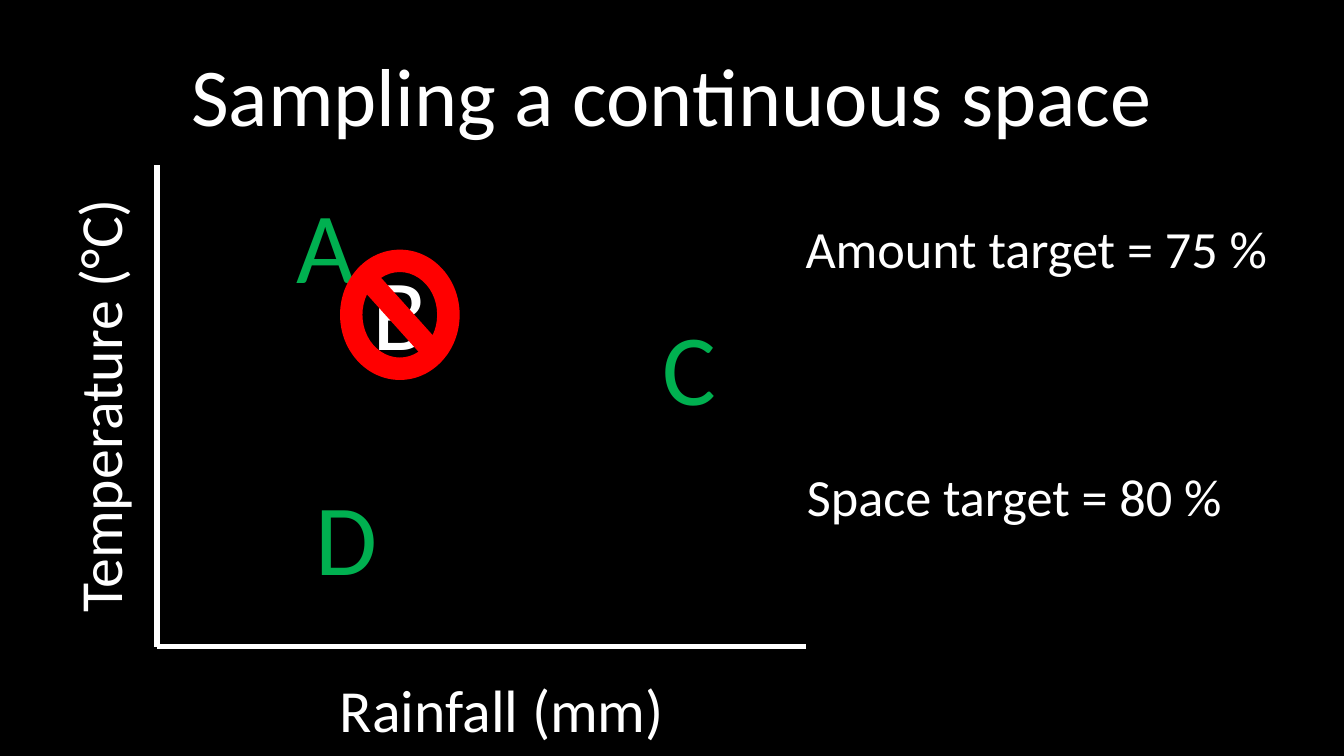
"""Build a slide on sampling a continuous rainfall and temperature space."""
from lxml import etree
from pptx import Presentation
from pptx.dml.color import RGBColor
from pptx.enum.shapes import MSO_CONNECTOR, MSO_SHAPE
from pptx.enum.text import MSO_ANCHOR, MSO_AUTO_SIZE, PP_ALIGN
from pptx.oxml.ns import qn
from pptx.util import Inches, Pt

WHITE, GREEN, RED, BLACK = "FFFFFF", "00B050", "FF0000", "000000"

prs = Presentation()
prs.slide_width = Inches(10)
prs.slide_height = prs.slide_width * 9 // 16
slide = prs.slides.add_slide(prs.slide_layouts[5])


def share(*percents):
    sizes = (prs.slide_width, prs.slide_height) * 2
    return [int(size * pct / 100) for size, pct in zip(sizes, percents)]


def paint(target, color, size=None):
    if size:
        target.font.name, target.font.size = "Calibri", Pt(size)
        target = target.font.fill
    target.solid()
    target.fore_color.rgb = RGBColor.from_string(color)


paint(slide.background.fill, BLACK)

title = slide.shapes.title
title.left, title.top, title.width, title.height = share(5, 4.09, 90, 16.71)
tf = title.text_frame
tf.text = "Sampling a continuous space"
tf.vertical_anchor = MSO_ANCHOR.MIDDLE
tf.paragraphs[0].alignment = PP_ALIGN.CENTER
paint(tf.paragraphs[0].runs[0], WHITE, 44)

origin = share(11.7, 85.55)
for start, end in ((share(11.7, 21.87), origin), (origin, share(60, 85.55))):
    axis = slide.shapes.add_connector(MSO_CONNECTOR.STRAIGHT, *start, *end)
    axis.line.width = Pt(3)
    paint(axis.line.fill, WHITE)
    etree.SubElement(axis._element.spPr, qn("a:effectLst"))

labels = [
    ("A", 54, GREEN, (21.1, 23.29, 6.4, 17.96), 0, False),
    ("B", 54, WHITE, (26.7, 32.22, 6.1, 17.96), 0, False),
    ("C", 54, GREEN, (48.3, 39.47, 6.1, 17.96), 0, False),
    ("D", 54, GREEN, (22.5, 61.87, 6.7, 17.96), 0, False),
    ("Temperature (°C)", 32, WHITE, (-9.2, 47.64, 33.1, 11.38), 270, False),
    ("Rainfall (mm)", 32, WHITE, (24.3, 88.18, 26.4, 11.38), 0, False),
    ("Amount target = 75 %", 28, WHITE, (58.95, 27.73, 40.2, 10.13), 0, True),
    ("Space target = 80 %", 28, WHITE, (59.05, 60.5, 40.2, 10.13), 0, True),
]
for text, size, color, box, rotation, wrap in labels:
    sp = slide.shapes.add_textbox(*share(*box))
    sp.rotation = rotation
    tf = sp.text_frame
    tf.text = text
    tf.word_wrap = wrap
    tf.auto_size = MSO_AUTO_SIZE.SHAPE_TO_FIT_TEXT
    paint(tf.paragraphs[0].runs[0], color, size)
    if text == "Rainfall (mm)":
        ban = slide.shapes.add_shape(
            MSO_SHAPE.NO_SYMBOL, *share(25.3, 33.02, 8.9, 17.24))
        ban.shadow.inherit = False
        paint(ban.fill, RED)
        ban.line.fill.background()

prs.save("out.pptx")
